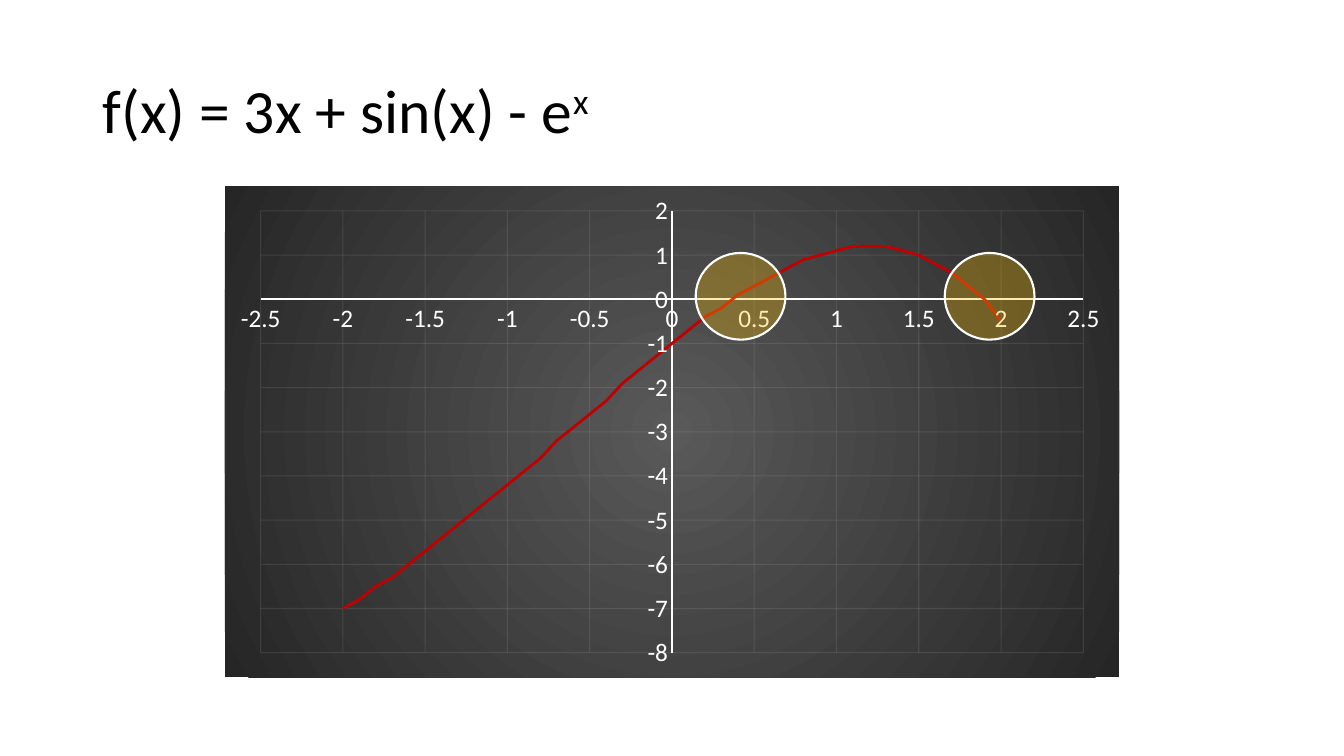
import math

from lxml import etree
from pptx import Presentation
from pptx.chart.data import XyChartData
from pptx.dml.color import RGBColor
from pptx.enum.chart import XL_CHART_TYPE, XL_TICK_MARK
from pptx.enum.shapes import MSO_SHAPE
from pptx.enum.text import MSO_ANCHOR
from pptx.oxml import parse_xml
from pptx.oxml.ns import nsdecls, qn
from pptx.util import Inches, Pt

SCATTER = XL_CHART_TYPE.XY_SCATTER_SMOOTH_NO_MARKERS
NO_TICK = XL_TICK_MARK.NONE
ELLIPSE = MSO_SHAPE.OVAL
MIDDLE = MSO_ANCHOR.MIDDLE

FONT = "Calibri"
COLORS = {
    "text": "000000",
    "axis": "FFFFFF",
    "grid": "F2F2F2",
    "curve": "C00000",
    "root": "FFC000",
    "center": "595959",
    "edge": "262626",
}


def rgb(name):
    return RGBColor.from_string(COLORS[name])


def set_alpha(parent, percent):
    """Make the solid colour found under parent partly transparent."""
    color = next(parent.iter(qn("a:srgbClr")))
    etree.SubElement(color, qn("a:alpha")).set("val", str(percent * 1000))


def set_line(line, color, width):
    line.color.rgb = rgb(color)
    line.width = Pt(width)


def add_title(s, text, exponent):
    sp = s.shapes.add_textbox(Inches(0.92), Inches(0.4), Inches(11.5), Inches(1.45))
    tf = sp.text_frame
    tf.word_wrap = True
    tf.vertical_anchor = MIDDLE
    p = tf.paragraphs[0]
    p.line_spacing = 0.9
    p.font.name = FONT
    p.font.size = Pt(44)
    p.font.color.rgb = rgb("text")
    p.add_run().text = text
    r = p.add_run()
    r.text = exponent
    r.font._element.set("baseline", "30000")


def style_axis(axis, low, high, step):
    axis.minimum_scale, axis.maximum_scale = low, high
    axis.major_unit = step
    axis.major_tick_mark = axis.minor_tick_mark = NO_TICK
    axis.has_major_gridlines = True
    grid = axis.major_gridlines
    set_line(grid.format.line, "grid", 0.75)
    set_alpha(grid._xAx.find(qn("c:majorGridlines")), 10)
    set_line(axis.format.line, "axis", 1.5)
    labels = axis.tick_labels
    labels.number_format = "General"
    labels.number_format_is_linked = False
    labels.font.name = FONT
    labels.font.size = Pt(18)
    labels.font.color.rgb = rgb("axis")


def fill_radial(chart):
    chart._chartSpace.find(qn("c:chart")).addnext(parse_xml(
        f'<c:spPr {nsdecls("c", "a")}><a:gradFill><a:gsLst>'
        f'<a:gs pos="0"><a:srgbClr val="{COLORS["center"]}"/></a:gs>'
        f'<a:gs pos="100000"><a:srgbClr val="{COLORS["edge"]}"/></a:gs>'
        '</a:gsLst><a:path path="circle">'
        '<a:fillToRect l="50000" t="50000" r="50000" b="50000"/>'
        '</a:path></a:gradFill><a:ln><a:noFill/></a:ln></c:spPr>'))


def place_plot(chart, x, y, w, h):
    """Set the inner plot area as fractions of the chart."""
    plot_area = chart._chartSpace.find(".//" + qn("c:plotArea"))
    for old in plot_area.findall(qn("c:layout")):
        plot_area.remove(old)
    plot_area.insert(0, parse_xml(
        f'<c:layout {nsdecls("c")}><c:manualLayout><c:layoutTarget val="inner"/>'
        '<c:xMode val="edge"/><c:yMode val="edge"/>'
        f'<c:x val="{x}"/><c:y val="{y}"/><c:w val="{w}"/><c:h val="{h}"/>'
        '</c:manualLayout></c:layout>'))


def add_curve_chart(s):
    data = XyChartData()
    points = data.add_series("Series 1")
    for i in range(-20, 21):
        x = i / 10
        points.add_data_point(x, round(3 * x + math.sin(x) - math.exp(x), 1) + 0.0)
    chart = s.shapes.add_chart(
        SCATTER, Inches(2.23), Inches(1.85), Inches(8.87), Inches(4.87), data).chart
    chart.has_title = False
    chart.has_legend = False
    chart.font.name = FONT
    chart.font.size = Pt(10)
    chart.font.color.rgb = rgb("text")
    fill_radial(chart)
    place_plot(chart, 0.04, 0.05, 0.92, 0.9)
    style_axis(chart.category_axis, -2.5, 2.5, 0.5)
    style_axis(chart.value_axis, -8, 2, 1)
    plot = chart.plots[0]
    plot.vary_by_categories = False
    curve = plot.series[0]
    curve.smooth = True
    set_line(curve.format.line, "curve", 2)


def add_root_marker(s, left):
    sp = s.shapes.add_shape(
        ELLIPSE, Inches(left), Inches(2.51), Inches(0.89), Inches(0.86))
    sp.shadow.inherit = False
    sp.fill.solid()
    sp.fill.fore_color.rgb = rgb("root")
    set_alpha(sp._element.spPr, 30)
    set_line(sp.line, "axis", 1.5)


def main():
    prs = Presentation()
    prs.slide_width, prs.slide_height = Inches(13.33), Inches(7.5)
    s = prs.slides.add_slide(prs.slide_layouts[6])
    add_title(s, "f(x) = 3x + sin(x) - e", "x")
    add_curve_chart(s)
    for left in (6.9, 9.37):
        add_root_marker(s, left)
    prs.save("out.pptx")


if __name__ == "__main__":
    main()
